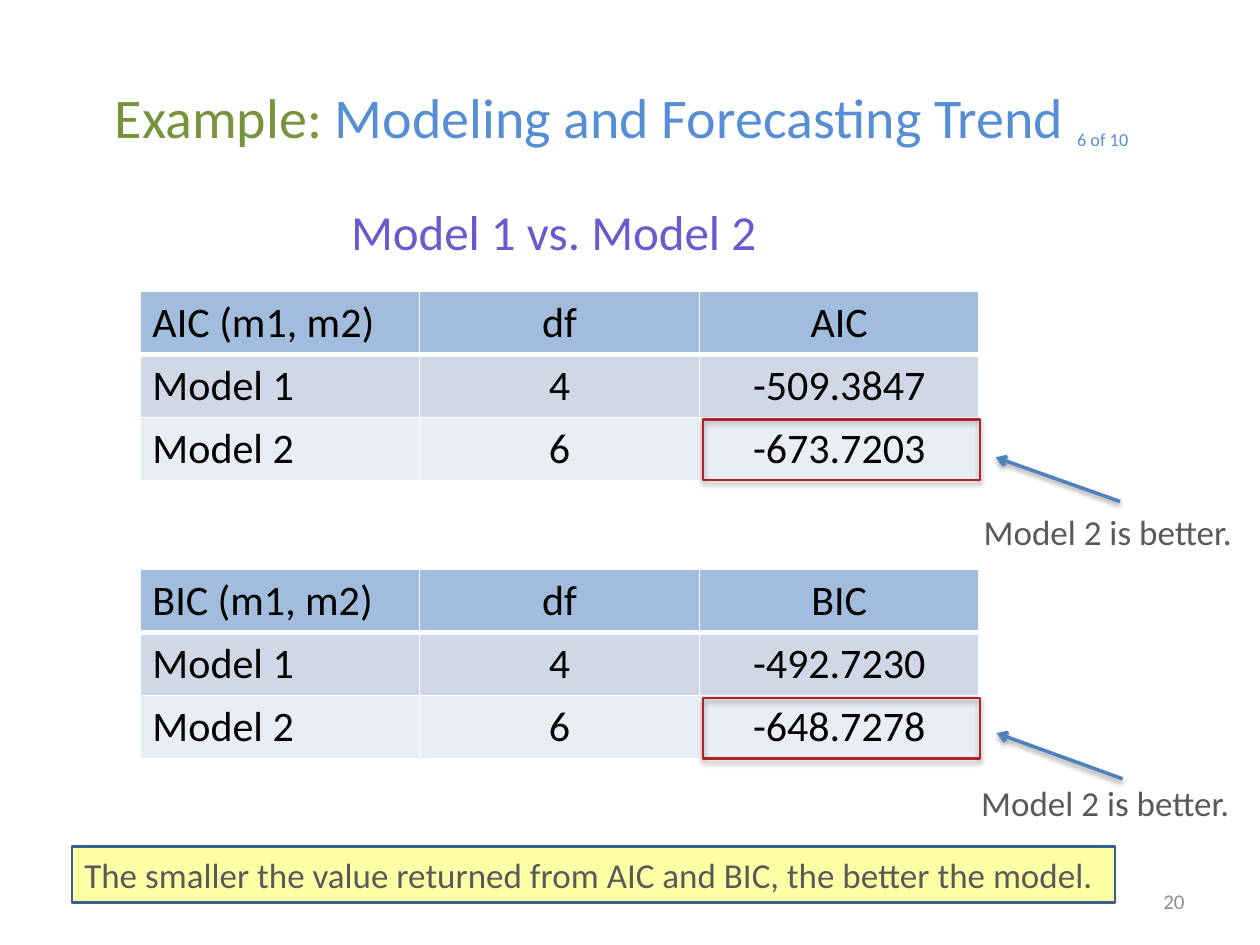
import pptx
import pptx.util
import pptx.dml.color
import pptx.enum.shapes
import pptx.enum.text
import pptx.oxml
import pptx.oxml.ns
from pptx.util import Cm

COLORS = {
    "green": "77933C", "title": "558ED5", "violet": "6A5ACD", "black": "000000",
    "gray": "595959", "number": "8C8C8C", "blue": "4F81BD", "white": "FFFFFF",
    "band": "D0D8E8", "light": "E9EDF4", "red": "B22222", "yellow": "FFFF00",
    "navy": "376092",
}
ALIGN = pptx.enum.text.PP_ALIGN
ANCHOR = pptx.enum.text.MSO_ANCHOR
qn = pptx.oxml.ns.qn


def rgb(name):
    return pptx.dml.color.RGBColor.from_string(COLORS[name])


def xml(text):
    """Make one DrawingML element, adding its namespace declaration."""
    name, rest = text[1:].split(" ", 1)
    return pptx.oxml.parse_xml(f"<{name} {pptx.oxml.ns.nsdecls('a')} {rest}")


class SlideBuilder:
    """Holds the common style and the slide being filled."""

    font = "Calibri"

    def __init__(self, presentation):
        self.slide = presentation.slides.add_slide(presentation.slide_layouts[6])

    def add_runs(self, frame, runs, align=ALIGN.LEFT):
        """Fill a frame with one paragraph of (text, size, color, baseline) runs."""
        paragraph = frame.paragraphs[0]
        paragraph.alignment = align
        for text, size, color, baseline in runs:
            run = paragraph.add_run()
            run.text = text
            formats = {"name": self.font, "size": pptx.util.Pt(size), "bold": False}
            for key, value in formats.items():
                setattr(run.font, key, value)
            run.font.color.rgb = rgb(color)
            if baseline:
                run._r.get_or_add_rPr().set("baseline", str(baseline * 1000))

    def text(self, box, runs, align=ALIGN.LEFT, anchor=ANCHOR.TOP, wrap=False):
        shape = self.slide.shapes.add_textbox(*map(Cm, box))
        formats = {"word_wrap": wrap, "vertical_anchor": anchor}
        for key, value in formats.items():
            setattr(shape.text_frame, key, value)
        self.add_runs(shape.text_frame, runs, align)
        return shape

    def fill(self, target, properties, color, alpha=100):
        target.fill.solid()
        target.fill.fore_color.rgb = rgb(color)
        if alpha < 100:
            color_element = properties.find(qn("a:solidFill")).find(qn("a:srgbClr"))
            color_element.append(xml(f'<a:alpha val="{alpha * 1000}"/>'))

    def shadow(self, shape, alpha):
        """Replace the theme shadow with a soft one straight below."""
        properties = shape._element.spPr
        for effects in properties.findall(qn("a:effectLst")):
            properties.remove(effects)
        properties.append(xml(
            '<a:effectLst ><a:outerShdw blurRad="40000" dist="22000" dir="5400000" '
            f'rotWithShape="0"><a:srgbClr val="000000"><a:alpha val="{alpha * 1000}"/>'
            "</a:srgbClr></a:outerShdw></a:effectLst>"))

    def rectangle(self, box, line, fill=None, alpha=100):
        shape = self.slide.shapes.add_shape(
            pptx.enum.shapes.MSO_SHAPE.RECTANGLE, *map(Cm, box))
        shape.shadow.inherit = False
        shape.line.color.rgb = rgb(line)
        shape.line.width = pptx.util.Pt(1.5)
        if fill:
            self.fill(shape, shape._element.spPr, fill, alpha)
        else:
            shape.fill.background()
        return shape

    def arrow(self, start, end):
        connector = self.slide.shapes.add_connector(
            pptx.enum.shapes.MSO_CONNECTOR.STRAIGHT, *map(Cm, start + end))
        connector.line.color.rgb = rgb("blue")
        connector.line.width = pptx.util.Pt(2)
        connector.line._get_or_add_ln().append(xml('<a:tailEnd type="arrow"/>'))
        self.shadow(connector, 38)
        return connector

    def borders(self, cell, row):
        """White grid lines, with a heavier one below the header."""
        widths = {"L": 1, "R": 1, "T": 3 if row == 1 else 1, "B": 3 if row == 0 else 1}
        for index, (side, width) in enumerate(widths.items()):
            cell._tc.get_or_add_tcPr().insert(index, xml(
                f'<a:ln{side} w="{width * 12700}"><a:solidFill>'
                f'<a:srgbClr val="{COLORS["white"]}"/></a:solidFill></a:ln{side}>'))

    def table(self, left, top, rows, column_width=5.64, row_height=1.27):
        table = self.slide.shapes.add_table(
            len(rows), len(rows[0]), Cm(left), Cm(top),
            Cm(column_width * len(rows[0])), Cm(row_height * len(rows))).table
        fills = [("blue", 53), ("band", 100), ("light", 100)]
        for row, values in enumerate(rows):
            for column, value in enumerate(values):
                cell = table.cell(row, column)
                self.fill(cell, cell._tc.get_or_add_tcPr(), *fills[row])
                self.borders(cell, row)
                self.add_runs(cell.text_frame, [(value, 24, "black", 0)],
                              ALIGN.CENTER if column else ALIGN.LEFT)

    def callout(self, frame, start, end, label):
        """Outline a cell and point at it with a labelled arrow."""
        outline = self.rectangle(frame, "red")
        self.shadow(outline, 35)
        arrow = self.arrow(start, end)
        text = self.text(label, [("Model 2 is better.", 20, "gray", 0)])
        self.slide.shapes.add_group_shape([outline, arrow, text])


def main():
    presentation = pptx.Presentation()
    presentation.slide_width, presentation.slide_height = Cm(25.4), Cm(19.05)
    builder = SlideBuilder(presentation)

    builder.text((1.1, 0.76, 22.86, 3.18), [
        ("Example:", 32, "green", 0),
        (" Modeling and Forecasting Trend ", 32, "title", 0),
        ("6 of 10", 18, "title", -25),
    ], ALIGN.CENTER, ANCHOR.MIDDLE, True)
    builder.text((18.2, 17.66, 5.93, 1.01), [("20", 12, "number", 0)],
                 ALIGN.RIGHT, ANCHOR.MIDDLE, True)
    builder.text((6.78, 3.94, 8.76, 1.45), [("Model 1 vs. Model 2", 28, "violet", 0)],
                 ALIGN.CENTER)

    criteria = [("AIC", "-509.3847", "-673.7203", 5.87),
                ("BIC", "-492.7230", "-648.7278", 11.48)]
    for name, first, second, top in criteria:
        builder.table(2.82, top, [(f"{name} (m1, m2)", "df", name),
                                  ("Model 1", "4", first),
                                  ("Model 2", "6", second)])

    builder.callout((14.17, 8.46, 5.59, 1.22), (22.58, 10.11), (20.07, 9.22),
                    (19.58, 10.16, 5.56, 1.12))
    builder.callout((14.17, 14.07, 5.59, 1.22), (22.63, 15.7), (20.09, 14.78),
                    (19.53, 15.62, 5.56, 1.12))

    note = builder.rectangle((1.45, 17.07, 21.03, 1.12), "navy", "yellow", 35)
    note.text_frame.word_wrap = False
    builder.add_runs(note.text_frame, [(
        "The smaller the value returned from AIC and BIC, the better the model.",
        20, "gray", 0)])

    presentation.save("out.pptx")


if __name__ == "__main__":
    main()
